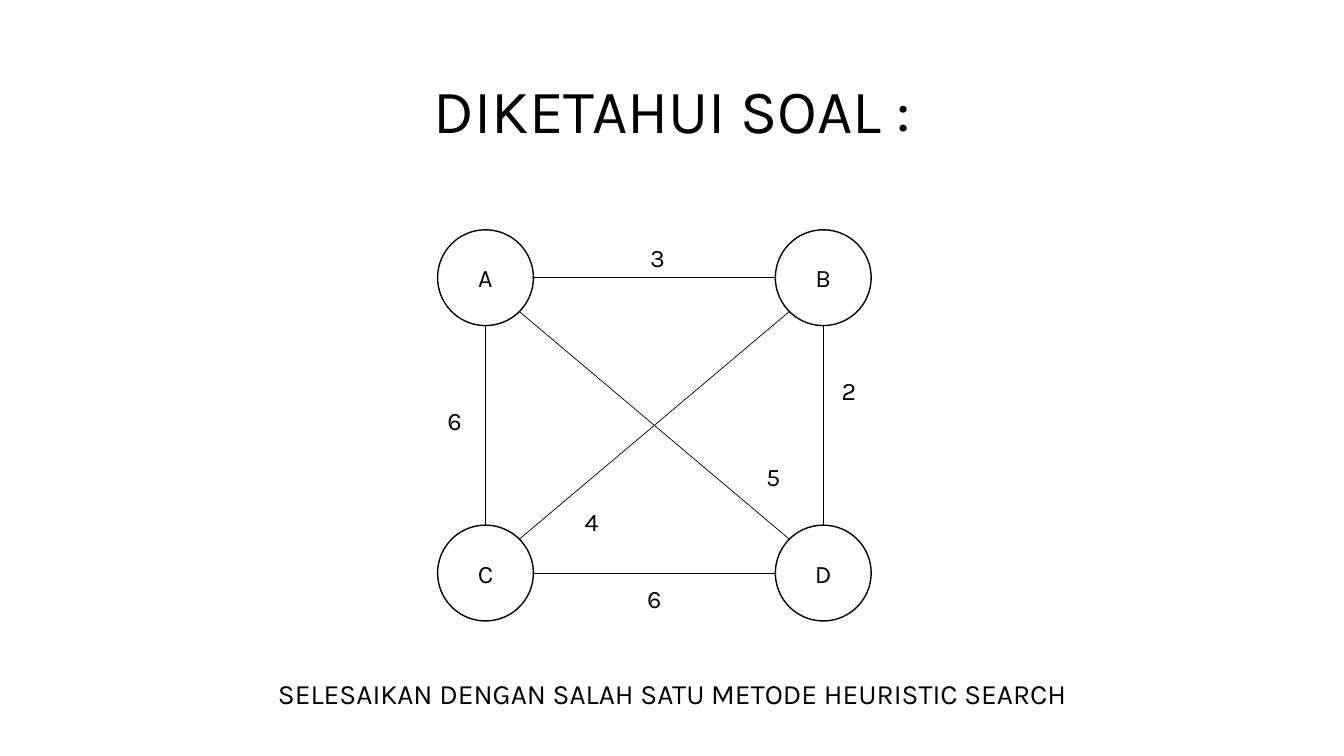
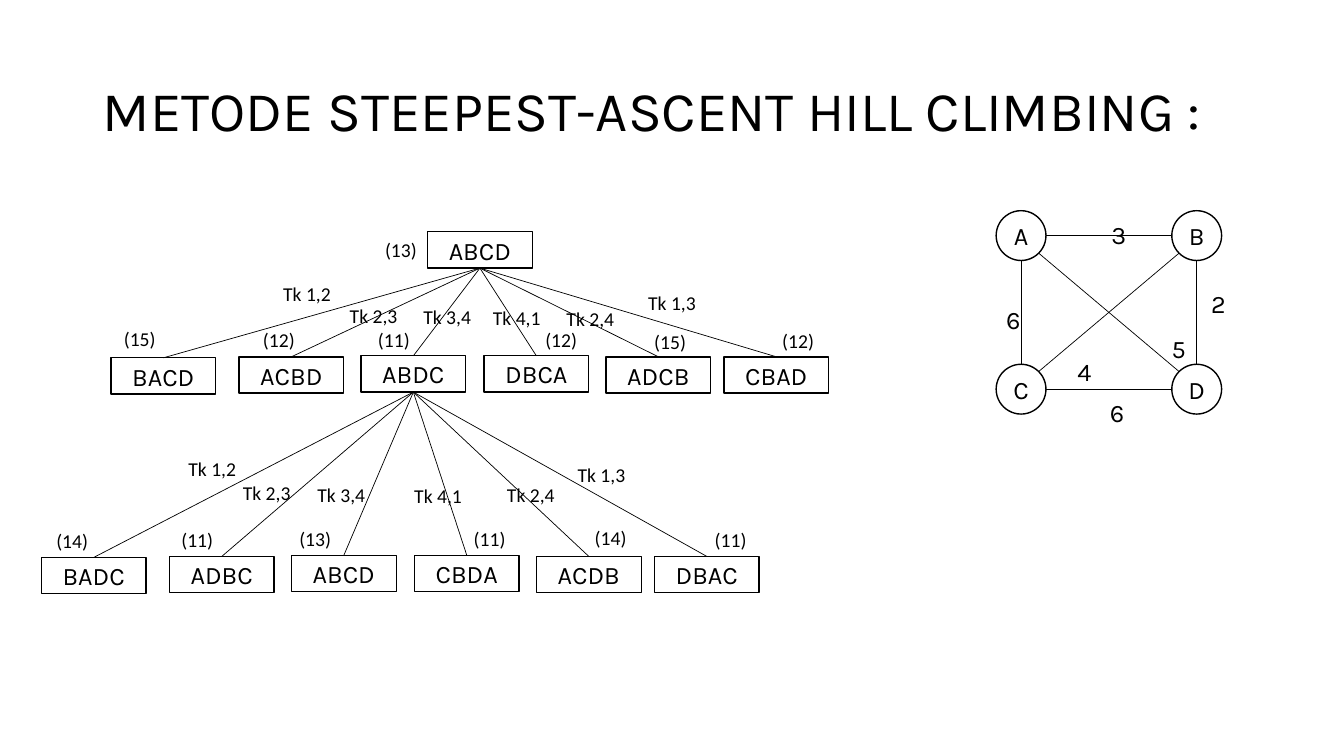
from pptx import Presentation
from pptx.dml.color import RGBColor
from pptx.enum.shapes import MSO_CONNECTOR, MSO_SHAPE
from pptx.enum.text import MSO_ANCHOR, MSO_AUTO_SIZE, PP_ALIGN
from pptx.oxml.ns import qn
from pptx.util import Inches, Pt
from lxml import etree

INK, PAPER = "000000", "FFFFFF"
HEADING_FONT, NOTE_FONT = "Karla", "Calibri"
HEADING_AREA = (0.92, 0.4, 11.5, 1.45)


def rgb(hex_colour):
    return RGBColor.from_string(hex_colour)


def write(shape, text, size, font=HEADING_FONT, align=PP_ALIGN.CENTER, spacing=1.0):
    paragraph = shape.text_frame.paragraphs[0]
    paragraph.alignment = align
    paragraph.line_spacing = spacing
    run = paragraph.add_run()
    run.text = text
    run.font.size = Pt(size)
    run.font.name = font
    run.font.color.rgb = rgb(INK)


prs = Presentation()
prs.slide_width, prs.slide_height = Inches(13.33), Inches(7.5)

# Slides and their titles
slides = []
for heading, size, align in [
    ("DIKETAHUI SOAL :", 44, PP_ALIGN.CENTER),
    ("METODE STEEPEST-ASCENT HILL CLIMBING :", 40, PP_ALIGN.LEFT),
]:
    slide = prs.slides.add_slide(prs.slide_layouts[5])
    title = slide.shapes.title
    title.left, title.top, title.width, title.height = map(Inches, HEADING_AREA)
    title.text_frame.auto_size = MSO_AUTO_SIZE.NONE
    title.text_frame.vertical_anchor = MSO_ANCHOR.MIDDLE
    write(title, heading, size, align=align, spacing=0.9)
    slides.append(slide)
problem, method = slides

# Task below the graph on the first slide
left, top, width, height = HEADING_AREA
task = problem.shapes.add_textbox(Inches(left), Inches(6.17), Inches(width), Inches(height))
task.text_frame.word_wrap = True
task.text_frame.vertical_anchor = MSO_ANCHOR.MIDDLE
write(task, "SELESAIKAN DENGAN SALAH SATU METODE HEURISTIC SEARCH", 20, spacing=0.9)

# Weighted graph, in inches at full scale from its top left corner
DIAMETER, SPAN_X, SPAN_Y = 0.95, 3.35, 2.93
CITIES = {"A": (0, 0), "D": (SPAN_X, SPAN_Y), "C": (0, SPAN_Y), "B": (SPAN_X, 0)}
ROADS = ["AB", "CD", "AC", "BD", "AD", "BC"]
WEIGHTS = [("3", 2.01, 0.07), ("6", 1.98, 3.46), ("5", 3.16, 2.25),
           ("6", 0, 1.69), ("4", 1.36, 2.69), ("2", 3.91, 1.39)]

drawings = []  # container, node shape, nodes, lines, labels, label style
for slide, x, y, scale in [(problem, 4.34, 2.28, 1), (method, 9.88, 2.09, 0.52)]:
    size = DIAMETER * scale
    nodes = [(name, x + cx * scale, y + cy * scale, size, size)
             for name, (cx, cy) in CITIES.items()]
    lines = []
    for start, end in ROADS:
        (x1, y1), (x2, y2) = CITIES[start], CITIES[end]
        # Direction of the road: straight, or at 45 degrees on the circle
        ux, uy = (x2 > x1) - (x2 < x1), (y2 > y1) - (y2 < y1)
        reach = DIAMETER / 2 / (ux ** 2 + uy ** 2) ** 0.5
        middle = DIAMETER / 2
        lines.append((x + (x1 + middle + ux * reach) * scale,
                      y + (y1 + middle + uy * reach) * scale,
                      x + (x2 + middle - ux * reach) * scale,
                      y + (y2 + middle - uy * reach) * scale))
    labels = [(weight, x + dx * scale, y + dy * scale) for weight, dx, dy in WEIGHTS]
    drawings.append((slide.shapes.add_group_shape().shapes, MSO_SHAPE.OVAL,
                     nodes, lines, labels, (18, HEADING_FONT, 0.33, 0.4)))

# Search tree: a root and two generations below it
BOX_W, BOX_H = 1.04, 0.36
CHILDREN = [(0, 0.02), (1.27, 0.01), (2.48, 0), (3.7, 0), (4.91, 0.01), (6.08, 0.01)]
SWAPS = ["Tk 1,2", "Tk 2,3", "Tk 3,4", "Tk 4,1", "Tk 2,4", "Tk 1,3"]
GENERATIONS = [
    # parent corner, corner of the row, states, costs, places of costs, places of swaps
    ((4.24, 2.3), (1.1, 3.53),
     ["BACD", "ACBD", "ABDC", "DBCA", "ADCB", "CBAD"], [15, 12, 11, 12, 15, 12],
     [(1.13, 3.19), (2.51, 3.2), (3.65, 3.2), (5.31, 3.2), (6.39, 3.22), (7.66, 3.21)],
     [(2.71, 2.75), (3.37, 2.97), (4.1, 2.98), (4.79, 2.99), (5.52, 3), (6.33, 2.84)]),
    ((3.58, 3.53), (0.41, 5.51),
     ["BADC", "ADBC", "ABCD", "CBDA", "ACDB", "DBAC"], [14, 11, 13, 11, 14, 11],
     [(0.46, 5.2), (1.7, 5.19), (2.87, 5.18), (4.6, 5.18), (5.8, 5.17), (6.99, 5.19)],
     [(1.77, 4.48), (2.31, 4.72), (3.05, 4.74), (4.01, 4.75), (4.93, 4.74), (5.63, 4.54)]),
]
nodes = [("ABCD", 4.24, 2.3, BOX_W, BOX_H)]
lines, labels = [], [("(13)", 3.72, 2.31)]
for (px, py), (rx, ry), states, costs, cost_places, swap_places in GENERATIONS:
    for state, (dx, dy) in zip(states, CHILDREN):
        nodes.append((state, rx + dx, ry + dy, BOX_W, BOX_H))
        lines.append((px + BOX_W / 2, py + BOX_H, rx + dx + BOX_W / 2, ry + dy))
    labels += [(f"({cost})", *place) for cost, place in zip(costs, cost_places)]
    labels += [(swap, *place) for swap, place in zip(SWAPS, swap_places)]
drawings.append((method.shapes, MSO_SHAPE.RECTANGLE,
                 nodes, lines, labels, (14, NOTE_FONT, 0.68, 0.34)))

# Draw the graphs and the tree
for shapes, outline, nodes, lines, labels, label_style in drawings:
    for name, *area in nodes:
        node = shapes.add_shape(outline, *map(Inches, area))
        node.shadow.inherit = False
        node.fill.solid()
        node.fill.fore_color.rgb = rgb(PAPER)
        node.line.color.rgb = rgb(INK)
        node.line.width = Pt(1)
        frame = node.text_frame
        frame.margin_left = frame.margin_right = frame.margin_top = frame.margin_bottom = 0
        frame.vertical_anchor = MSO_ANCHOR.MIDDLE
        write(node, name, 18)
    for ends in lines:
        link = shapes.add_connector(MSO_CONNECTOR.STRAIGHT, *map(Inches, ends))
        link.line.color.rgb = rgb(INK)
        link.line.width = Pt(0.5)
        etree.SubElement(link._element.spPr, qn("a:effectLst"))
    size, font, width, height = label_style
    for text, x, y in labels:
        label = shapes.add_textbox(*map(Inches, (x, y, width, height)))
        label.text_frame.word_wrap = False
        label.text_frame.auto_size = MSO_AUTO_SIZE.SHAPE_TO_FIT_TEXT
        write(label, text, size, font, PP_ALIGN.LEFT)

prs.save("out.pptx")
